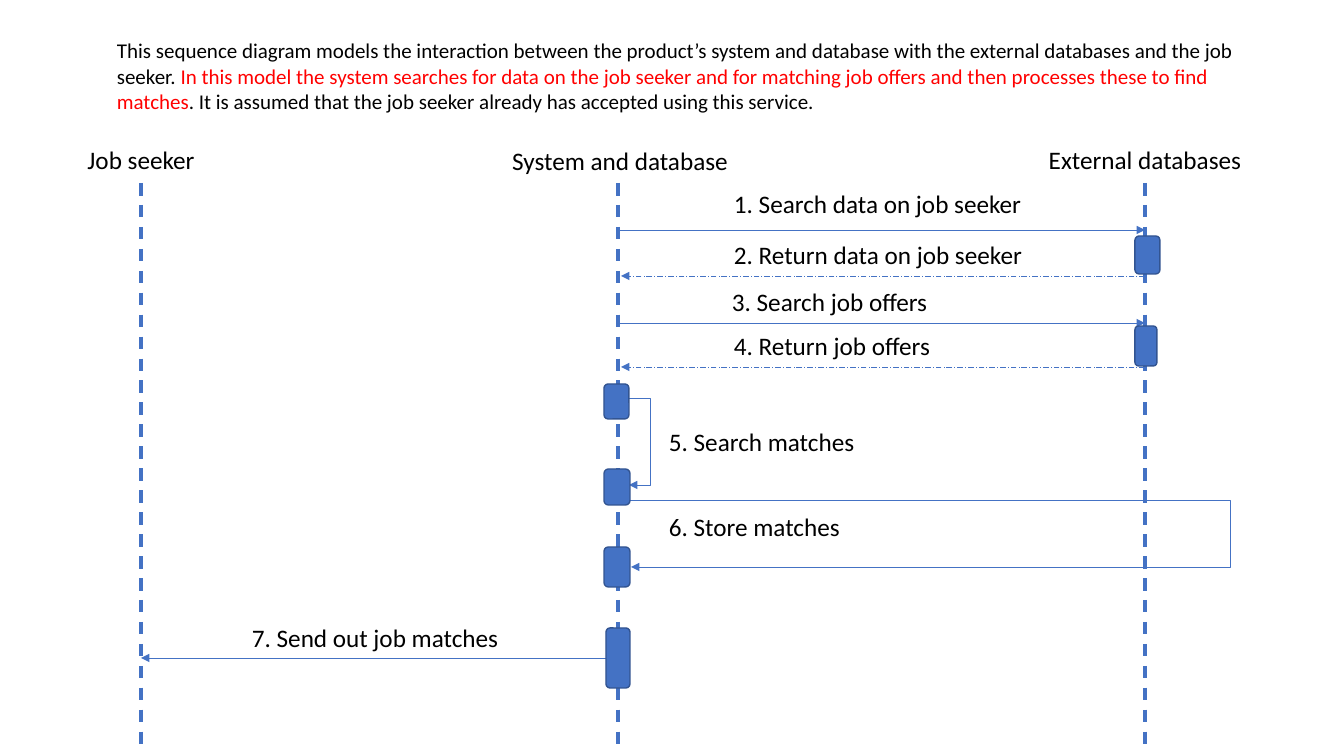
from lxml import etree
from pptx import Presentation
from pptx.dml.color import RGBColor
from pptx.enum.dml import MSO_LINE
from pptx.enum.shapes import MSO_CONNECTOR, MSO_SHAPE
from pptx.enum.text import PP_ALIGN
from pptx.oxml.ns import qn
from pptx.util import Emu, Pt

STRAIGHT, ELBOW = MSO_CONNECTOR.STRAIGHT, MSO_CONNECTOR.ELBOW
ROUNDED = MSO_SHAPE.ROUNDED_RECTANGLE
DASH, LONG_DASH_DOT = MSO_LINE.DASH, MSO_LINE.LONG_DASH_DOT
LEFT, CENTER = PP_ALIGN.LEFT, PP_ALIGN.CENTER

EMU_PER_PIXEL = 914400 / 100.8
BLUE, DARK_BLUE, BLACK, RED = "4472C4", "325491", "000000", "FF0000"


def px(length):
    return Emu(round(length * EMU_PER_PIXEL))


def color(hex_value):
    return RGBColor.from_string(hex_value)


class SequenceDiagram:
    font = "Calibri"

    def __init__(self, slide):
        self.shapes = slide.shapes

    def text(self, x, y, width, height, runs, size=18, align=LEFT):
        box = self.shapes.add_textbox(px(x), px(y), px(width), px(height))
        frame = box.text_frame
        frame.word_wrap = True
        paragraph = frame.paragraphs[0]
        paragraph.alignment = align
        for words, hex_value in runs:
            run = paragraph.add_run()
            run.text = words
            run.font.name = self.font
            run.font.size = Pt(size)
            run.font.color.rgb = color(hex_value)

    def line(self, start, end, weight=0.5, dash=None, arrow=True, kind=STRAIGHT):
        connector = self.shapes.add_connector(kind, *map(px, start + end))
        connector.line.color.rgb = color(BLUE)
        connector.line.width = Pt(weight)
        if dash:
            connector.line.dash_style = dash
        if arrow:
            etree.SubElement(connector.line._get_or_add_ln(), qn("a:tailEnd"), type="triangle")
        etree.SubElement(connector._element.spPr, qn("a:effectLst"))
        return connector

    def loop(self, x, top, bottom, reach):
        """Self-message: leaves at top, turns after reach pixels, returns at bottom."""
        connector = self.line((x, top), (x + 1, bottom), kind=ELBOW)
        adjustments = connector._element.spPr.find(qn("a:prstGeom")).get_or_add_avLst()
        etree.SubElement(adjustments, qn("a:gd"), name="adj1", fmla=f"val {reach * 100000}")

    def activation(self, x, y, width, height):
        bar = self.shapes.add_shape(ROUNDED, px(x), px(y), px(width), px(height))
        bar.shadow.inherit = False
        bar.fill.solid()
        bar.fill.fore_color.rgb = color(BLUE)
        bar.line.color.rgb = color(DARK_BLUE)
        bar.line.width = Pt(1)


presentation = Presentation()
presentation.slide_width, presentation.slide_height = px(1344), px(756)
diagram = SequenceDiagram(presentation.slides.add_slide(presentation.slide_layouts[6]))

# Participants and their lifelines
SEEKER, SYSTEM, EXTERNAL = 141, 618, 1145
for participant, lifeline, center, top, width in (
    ("Job seeker", SEEKER, 141, 139, 156),
    ("System and database", SYSTEM, 620, 140, 248),
    ("External databases", EXTERNAL, 1145, 139, 270),
):
    diagram.line((lifeline, 183), (lifeline, 745), 2.25, DASH, arrow=False)
    diagram.text(center - width / 2, top, width, 40, [(participant, BLACK)], align=CENTER)

# Requests and dashed replies between system and external databases
for request_y, reply_y in ((230, 276), (323, 367)):
    diagram.line((SYSTEM, request_y), (EXTERNAL, request_y))
    diagram.line((EXTERNAL, reply_y), (SYSTEM + 3, reply_y), dash=LONG_DASH_DOT)

# Internal steps and the final message to the job seeker
diagram.loop(628, 398, 485, 23)
diagram.loop(630, 500, 567, 605)
diagram.line((606, 658), (SEEKER, 658))

# Activation bars
for bar in (
    (1135, 236, 25, 38), (1135, 326, 22, 40),
    (604, 384, 25, 35), (604, 469, 26, 36),
    (604, 547, 26, 40), (606, 628, 24, 60),
):
    diagram.activation(*bar)

# Numbered message labels
messages = (
    ("Search data on job seeker", 724, 183),
    ("Return data on job seeker", 724, 234),
    ("Search job offers", 722, 281),
    ("Return job offers", 724, 325),
    ("Search matches", 659, 421),
    ("Store matches", 659, 506),
    ("Send out job matches", 242, 617),
)
for number, (message, x, y) in enumerate(messages, 1):
    diagram.text(x, y, 339, 40, [(f"{number}. {message}", BLACK)])

# Description
diagram.text(107, 33, 1138, 87, [
    ("This sequence diagram models the interaction between the product’s system and "
     "database with the external databases and the job seeker. ", BLACK),
    ("In this model the system searches for data on the job seeker and for matching "
     "job offers and then processes these to find matches", RED),
    (". It is assumed that the job seeker already has accepted using this service.", BLACK),
], size=15)

presentation.save("out.pptx")
